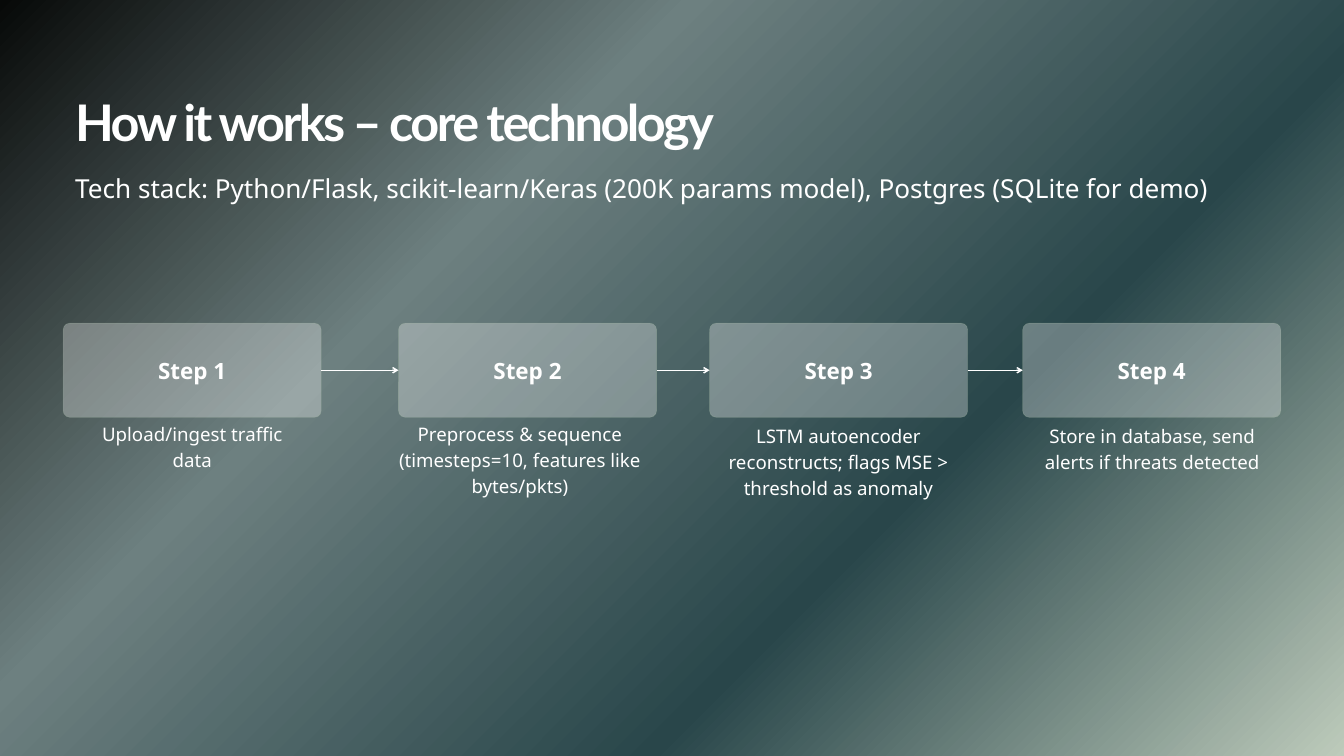
from lxml import etree
from pptx import Presentation
from pptx.dml.color import RGBColor
from pptx.enum.shapes import MSO_CONNECTOR, MSO_SHAPE
from pptx.enum.text import MSO_ANCHOR, PP_ALIGN
from pptx.oxml import parse_xml
from pptx.oxml.ns import nsdecls, qn
from pptx.util import Pt

LEFT, CENTER = PP_ALIGN.LEFT, PP_ALIGN.CENTER
TOP, MIDDLE = MSO_ANCHOR.TOP, MSO_ANCHOR.MIDDLE
ROUNDED = MSO_SHAPE.ROUNDED_RECTANGLE
STRAIGHT = MSO_CONNECTOR.STRAIGHT
RIGHT_SIDE, LEFT_SIDE = 3, 1

TITLE = "How it works – core technology"
TECH_STACK = "Tech stack: Python/Flask, scikit-learn/Keras (200K params model), Postgres (SQLite for demo)"
STEPS = [
    {"caption": "Upload/ingest traffic data",
     "card_left": 67.7, "caption_box": (96.5, 449.3, 219, 60.5)},
    {"caption": "Preprocess & sequence (timesteps=10, features like bytes/pkts)",
     "card_left": 427, "caption_box": (427, 449.3, 260, 91.5)},
    {"caption": "LSTM autoencoder reconstructs; flags MSE > threshold as anomaly",
     "card_left": 760.3, "caption_box": (768.3, 451.4, 260, 91.5)},
    {"caption": "Store in database, send alerts if threats detected",
     "card_left": 1095.8, "caption_box": (1104.5, 451.4, 260, 60.5)},
]

THEME = {
    "white": "FFFFFF", "card_line": "9EB49F", "card_opacity": 30,
    "background": [(0, "070908"), (33, "6D8080"), (67, "29464A"), (100, "BDCBBB")],
    "title_font": "Lato", "body_font": "Noto Sans",
    "title_size": 54, "stack_size": 28, "step_size": 24, "caption_size": 20,
}
SLIDE_SIZE = (1440, 810)
CARD_TOP, CARD_WIDTH, CARD_HEIGHT = 346.3, 276.5, 100.8
CARD_ROUNDING = 0.07


def write_text(shape, text, size, line_spacing, font=THEME["body_font"], bold=False,
               align=LEFT, anchor=TOP, tracking=0, bottom_inset=0):
    frame = shape.text_frame
    frame.word_wrap = True
    frame.vertical_anchor = anchor
    frame.margin_left = frame.margin_top = frame.margin_right = 0
    frame.margin_bottom = Pt(bottom_inset)
    paragraph = frame.paragraphs[0]
    paragraph.alignment = align
    paragraph.line_spacing = Pt(line_spacing)
    run = paragraph.add_run()
    run.text = text
    run.font.name = font
    run.font.size = Pt(size)
    run.font.bold = bold
    run.font.color.rgb = RGBColor.from_string(THEME["white"])
    if tracking:
        run._r.get_or_add_rPr().set("spc", str(round(tracking * 100)))


def add_text(slide, box, text, **text_format):
    shape = slide.shapes.add_textbox(*map(Pt, box))
    write_text(shape, text, **text_format)


def paint_background(slide):
    fill = slide.background.fill
    fill.gradient()
    fill.gradient_angle = 315
    stops = "".join(
        f'<a:gs pos="{position * 1000}"><a:srgbClr val="{color}"/></a:gs>'
        for position, color in THEME["background"])
    gradient = slide.background._cSld.find(".//" + qn("a:gradFill"))
    gradient.replace(gradient.find(qn("a:gsLst")),
                     parse_xml(f'<a:gsLst {nsdecls("a")}>{stops}</a:gsLst>'))


def add_card(slide, left, label):
    card = slide.shapes.add_shape(
        ROUNDED, Pt(left), Pt(CARD_TOP), Pt(CARD_WIDTH), Pt(CARD_HEIGHT))
    card.adjustments[0] = CARD_ROUNDING
    card.shadow.inherit = False
    card.fill.solid()
    card.fill.fore_color.rgb = RGBColor.from_string(THEME["white"])
    card.line.color.rgb = RGBColor.from_string(THEME["card_line"])
    card.line.width = Pt(0.75)
    for color in card._element.spPr.iter(qn("a:srgbClr")):
        etree.SubElement(color, qn("a:alpha"), val=str(THEME["card_opacity"] * 1000))
    write_text(card, label, size=THEME["step_size"], line_spacing=33.6, bold=True,
               align=CENTER, anchor=MIDDLE, bottom_inset=4)
    return card


def add_arrow(slide, source, target):
    arrow = slide.shapes.add_connector(STRAIGHT, 0, 0, 0, 0)
    arrow.begin_connect(source, RIGHT_SIDE)
    arrow.end_connect(target, LEFT_SIDE)
    arrow.line.color.rgb = RGBColor.from_string(THEME["white"])
    arrow.line.width = Pt(1.5)
    etree.SubElement(arrow.line._get_or_add_ln(), qn("a:tailEnd"), type="arrow")
    etree.SubElement(arrow._element.spPr, qn("a:effectLst"))


def main():
    presentation = Presentation()
    presentation.slide_width, presentation.slide_height = map(Pt, SLIDE_SIZE)
    slide = presentation.slides.add_slide(presentation.slide_layouts[6])
    paint_background(slide)

    add_text(slide, (80.6, 71.3, 1304.6, 92.2), TITLE, size=THEME["title_size"],
             line_spacing=91, font=THEME["title_font"], bold=True, tracking=-2.7)
    add_text(slide, (80.6, 184.3, 1336.3, 33.1), TECH_STACK,
             size=THEME["stack_size"], line_spacing=33.6)

    cards = []
    for number, step in enumerate(STEPS, start=1):
        cards.append(add_card(slide, step["card_left"], f"Step {number}"))
        add_text(slide, step["caption_box"], step["caption"],
                 size=THEME["caption_size"], line_spacing=28, align=CENTER)
    for source, target in zip(cards, cards[1:]):
        add_arrow(slide, source, target)

    presentation.save("out.pptx")


if __name__ == "__main__":
    main()
